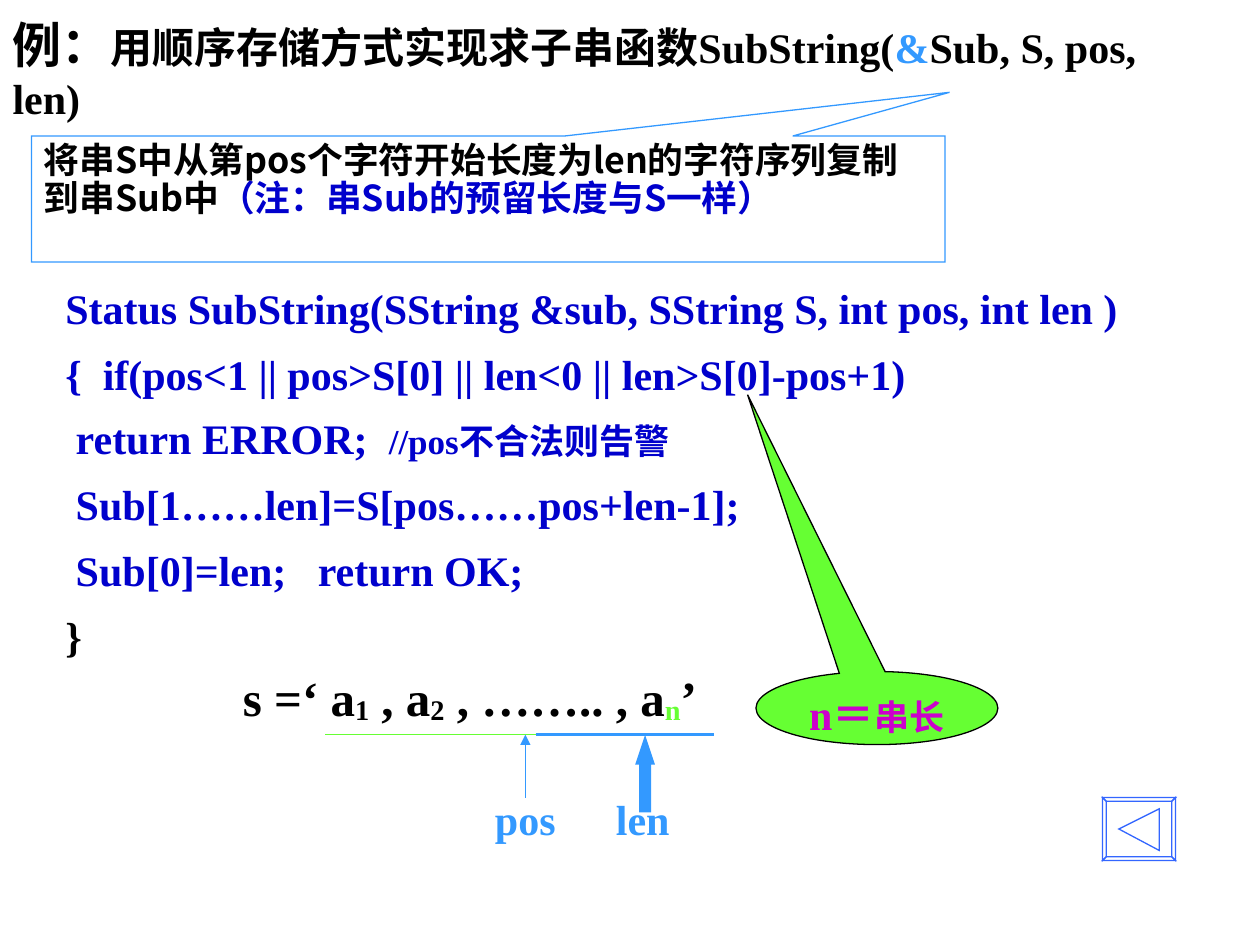
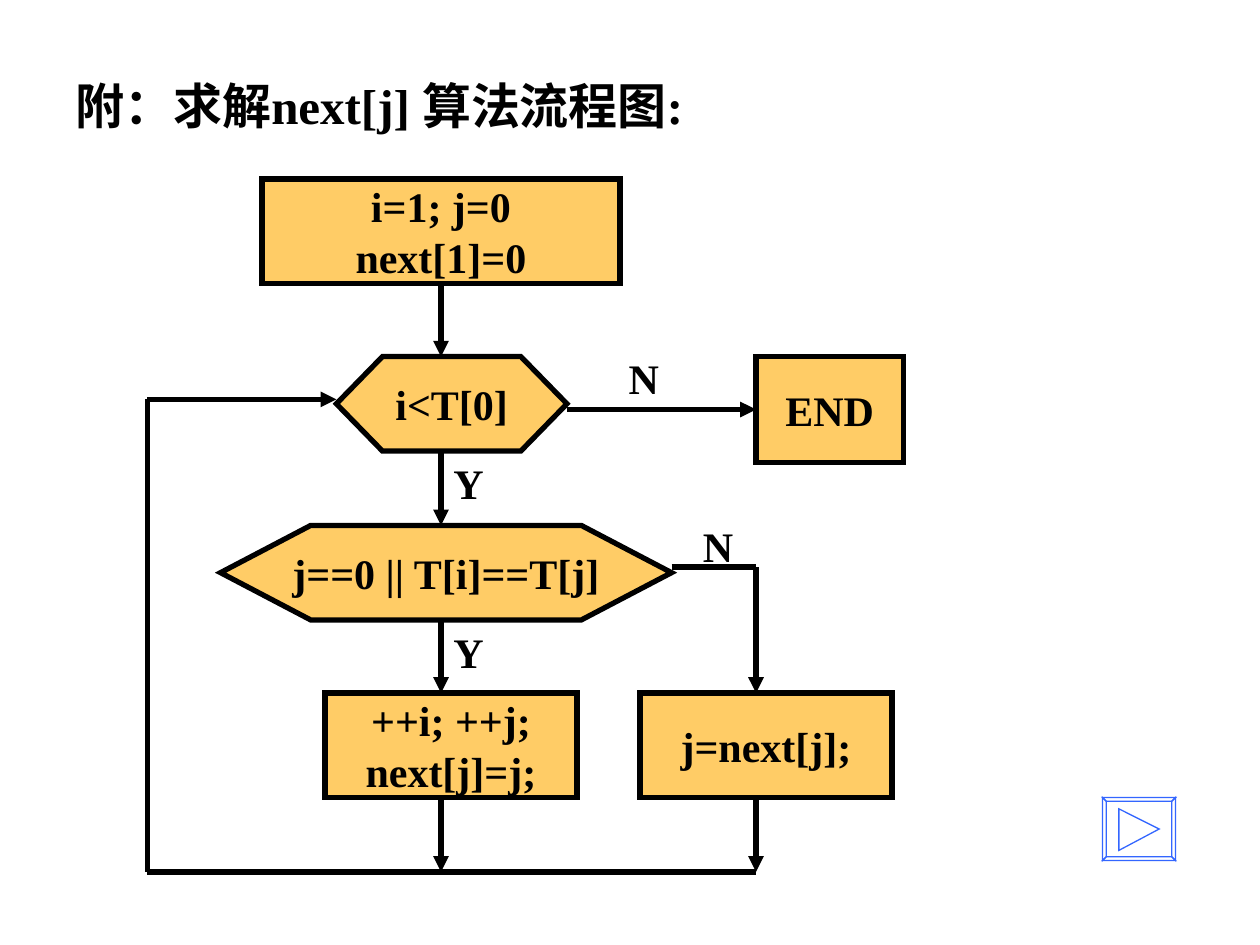
from typing import NamedTuple, Optional

from lxml.etree import SubElement
from pptx import Presentation
from pptx.dml.color import RGBColor
from pptx.enum.shapes import MSO_CONNECTOR, MSO_SHAPE
from pptx.enum.text import MSO_ANCHOR, MSO_AUTO_SIZE, PP_ALIGN
from pptx.oxml.ns import qn
from pptx.util import Inches, Pt

HUES = {
    "black": "000000", "navy": "0000CC", "sky": "3399FF", "lime": "66FF33",
    "plum": "CC00CC", "sand": "FFCC66", "blue": "3366FF",
}
SERIF, SANS = "Times New Roman", "Noto Sans CJK SC"


class Run(NamedTuple):
    text: str
    hue: Optional[str] = None
    size: Optional[float] = None
    base: int = 0  # baseline shift, percent


class Para(NamedTuple):
    runs: tuple[Run, ...]
    hue: str = "black"
    size: float = 24
    before: float = 0
    align: PP_ALIGN = PP_ALIGN.LEFT
    face: str = SERIF
    lead: float = 1.0


class Box(NamedTuple):
    left: float
    top: float
    width: float
    height: float

    def size(self) -> list:
        return [Inches(side) for side in self]


class Node(NamedTuple):
    name: str
    kind: MSO_SHAPE
    box: Box
    lines: tuple[str, ...]


class Link(NamedTuple):
    start: tuple[float, float]
    end: tuple[float, float]
    arrow: bool = True
    hue: str = "black"
    weight: float = 3
    source: Optional[tuple[str, int]] = None
    target: Optional[tuple[str, int]] = None


class Label(NamedTuple):
    text: str
    box: Box
    hue: str = "black"


def shade(hue: str) -> RGBColor:
    return RGBColor.from_string(HUES[hue])


# Shared drawing functions
def write(frame, paras: list[Para], anchor=MSO_ANCHOR.TOP, wrap: bool = True,
          grow: bool = False) -> None:
    frame.word_wrap = wrap
    frame.auto_size = MSO_AUTO_SIZE.SHAPE_TO_FIT_TEXT if grow else MSO_AUTO_SIZE.NONE
    frame.vertical_anchor = anchor
    for index, para in enumerate(paras):
        line = frame.add_paragraph() if index else frame.paragraphs[0]
        line.alignment, line.line_spacing = para.align, para.lead
        line.space_before = Pt(para.before)
        font = line.font
        font.name, font.size, font.bold = para.face, Pt(para.size), True
        font.color.rgb = shade(para.hue)
        SubElement(font._element, qn("a:ea"), typeface=SANS)
        for part in para.runs:
            run = line.add_run()
            run.text = part.text
            if part.size:
                run.font.size = Pt(part.size)
            if part.hue:
                run.font.color.rgb = shade(part.hue)
            if part.base:
                run.font._element.set("baseline", str(part.base * 1000))


def add_title(slide, box: Box, para: Para) -> None:
    title = slide.shapes.title
    title.left, title.top, title.width, title.height = box.size()
    write(title.text_frame, [para], MSO_ANCHOR.MIDDLE)


def add_text(slide, box: Box, paras: list[Para], **style) -> None:
    write(slide.shapes.add_textbox(*box.size()).text_frame, paras, **style)


def add_label(slide, label: Label) -> None:
    add_text(slide, label.box, [Para((Run(label.text),), label.hue)], grow=True)


def paint(shape, fill: Optional[str], line: str, weight: float) -> None:
    shape.shadow.inherit = False
    if fill:
        shape.fill.solid()
        shape.fill.fore_color.rgb = shade(fill)
    else:
        shape.fill.background()
    shape.line.color.rgb = shade(line)
    shape.line.width = Pt(weight)
    SubElement(shape.line._get_or_add_ln(), qn("a:miter"), lim="800000")


def add_shape(slide, kind, box: Box, fill: Optional[str], line: str,
              weight: float, adjust: tuple[float, ...] = ()):
    shape = slide.shapes.add_shape(kind, *box.size())
    paint(shape, fill, line, weight)
    for index, value in enumerate(adjust):
        shape.adjustments[index] = value
    return shape


def add_link(slide, link: Link, nodes: dict) -> None:
    ends = [Inches(value) for value in link.start + link.end]
    line = slide.shapes.add_connector(MSO_CONNECTOR.STRAIGHT, *ends)
    line.line.color.rgb = shade(link.hue)
    line.line.width = Pt(link.weight)
    if link.arrow:
        SubElement(line.line._get_or_add_ln(), qn("a:tailEnd"), type="triangle")
    SubElement(line._element.spPr, qn("a:effectLst"))
    if link.source:
        line.begin_connect(nodes[link.source[0]], link.source[1])
    if link.target:
        line.end_connect(nodes[link.target[0]], link.target[1])


def add_button(slide, back: bool) -> None:
    """Bevelled button with a triangle that points back or forward."""
    left, top, right, low, rim = 8.75, 6.33, 9.33, 6.83, 0.03
    outer = [(left, top), (right, top), (right, low), (left, low)]
    inner = [(left + rim, top + rim), (right - rim, top + rim),
             (right - rim, low - rim), (left + rim, low - rim)]
    tip, foot = (8.88, 9.2) if back else (9.2, 8.88)
    rings = [outer]
    for i in range(4):
        j = (i + 1) % 4
        rings.append([outer[i], outer[j], inner[j], inner[i]])
    rings.append([(foot, 6.42), (tip, 6.58), (foot, 6.75)])
    paths = [[(Inches(x), Inches(y)) for x, y in ring] for ring in rings]
    pen = slide.shapes.build_freeform(*paths[0][0], scale=1.0)
    for i, ring in enumerate(paths):
        if i:
            pen.move_to(*ring[0])
        pen.add_line_segments(ring[1:], close=True)
    paint(pen.convert_to_shape(), None, "blue", 0.75)


# Slide 1: substring function
CODE = [
    Para((Run("Status SubString(SString &sub, SString S, int pos, int len )"),), "navy"),
    Para((Run("{  if(pos<1 || pos>S[0] || len<0 || len>S[0]-pos+1)"),), "navy", before=9),
    Para((Run(" return ERROR;  "), Run("//pos不合法则告警", size=20)), "navy", before=7.5),
    Para((Run(" Sub[1……len]=S[pos……pos+len-1];"),), "navy", before=9),
    Para((Run(" Sub[0]=len;   return OK;"),), "navy", before=9),
    Para((Run("}"),), before=9),
]
STRING = Para((
    Run("s =‘ a"), Run("1", base=-8), Run(" , a"), Run("2", base=-8),
    Run(" , …….. , a"), Run("n", "lime", base=-8), Run("’"),
), size=28)


def draw_code(slide) -> None:
    add_title(slide, Box(0, 0.17, 9.67, 0.75), Para((
        Run("例：", size=28), Run("用顺序存储方式实现求子串函数SubString("),
        Run("&", "sky"), Run("Sub, S, pos, len)"))))
    add_text(slide, Box(0.42, 2.08, 8.83, 3.33), CODE, anchor=MSO_ANCHOR.MIDDLE)

    # Callouts and sample string
    note = add_shape(slide, MSO_SHAPE.RECTANGULAR_CALLOUT, Box(0.25, 1.08, 7.25, 1),
                     None, "sky", 0.75, (0.505, -0.847))
    write(note.text_frame, [Para((
        Run("将串S中从第pos个字符开始长度为len的字符序列复制到串Sub中"),
        Run("（注：串Sub的预留长度与S一样）", "navy")), size=20.4, face=SANS, lead=0.9)])
    add_text(slide, Box(1.83, 5.25, 4.17, 0.57), [STRING], grow=True)
    total = add_shape(slide, MSO_SHAPE.OVAL_CALLOUT, Box(6, 5.33, 1.92, 0.58),
                      "lime", "black", 0.75, (-0.535, -4.289))
    write(total.text_frame, [Para((Run("n＝"), Run("串长", size=20)), "plum",
                                  align=PP_ALIGN.CENTER)])

    # Position and length marks
    add_link(slide, Link((2.58, 5.83), (5.67, 5.83), False, "lime", 0.75), {})
    add_link(slide, Link((4.17, 6.33), (4.17, 5.83), True, "sky", 0.75), {})
    add_label(slide, Label("pos", Box(3.83, 6.25, 0.92, 0.5), "sky"))
    add_label(slide, Label("len", Box(4.79, 6.25, 0.7, 0.5), "sky"))
    add_shape(slide, MSO_SHAPE.UP_ARROW, Box(5.08, 5.92, 0.08, 0.5),
              "sky", "sky", 4, (0.5, 1.505))
    add_link(slide, Link((4.25, 5.83), (5.67, 5.83), False, "sky", 2), {})
    add_button(slide, back=True)


# Slide 2: flow chart
STEP, TEST = MSO_SHAPE.FLOWCHART_PROCESS, MSO_SHAPE.FLOWCHART_PREPARATION
NODES = [
    Node("init", STEP, Box(2.08, 1.42, 2.84, 0.83), ("i=1; j=0", "next[1]=0")),
    Node("loop", TEST, Box(2.67, 2.83, 1.83, 0.75), ("i<T[0]",)),
    Node("match", TEST, Box(1.75, 4.17, 3.58, 0.75), ("j==0 || T[i]==T[j]",)),
    Node("grow", STEP, Box(2.58, 5.5, 2, 0.83), ("++i; ++j;", "next[j]=j;")),
    Node("fall", STEP, Box(5.08, 5.5, 2, 0.83), ("j=next[j];",)),
    Node("end", STEP, Box(6, 2.83, 1.17, 0.84), ("END",)),
]
MAIN, SIDE, BACK, BASE = 3.5, 6, 1.17, 6.92  # lanes of the links
LINKS = [
    Link((MAIN, 2.25), (MAIN, 2.83), source=("init", 2)),
    Link((MAIN, 3.58), (MAIN, 4.17)),
    Link((MAIN, 4.92), (MAIN, 5.5)),
    Link((5.33, 4.5), (SIDE, 4.5), False),
    Link((SIDE, 4.5), (SIDE, 5.5)),
    Link((MAIN, 6.33), (MAIN, BASE)),
    Link((SIDE, 6.33), (SIDE, BASE)),
    Link((BACK, BASE), (SIDE, BASE), False),
    Link((BACK, 3.17), (BACK, BASE), False),
    Link((BACK, 3.17), (2.67, 3.17)),
    Link((4.5, 3.25), (SIDE, 3.25), target=("end", 1)),
]
SIGNS = [("Y", MAIN, 3.58), ("Y", MAIN, 4.92), ("N", 4.89, 2.75), ("N", 5.48, 4.08)]


def draw_flow(slide) -> None:
    add_title(slide, Box(0.5, 0.42, 6.33, 0.83),
              Para((Run("附：求解next[j] 算法流程图:"),), size=28))
    nodes = {}
    for node in NODES:
        shape = add_shape(slide, node.kind, node.box, "sand", "black", 3)
        paras = [Para((Run(text),), align=PP_ALIGN.CENTER) for text in node.lines]
        write(shape.text_frame, paras, MSO_ANCHOR.MIDDLE, wrap=False)
        nodes[node.name] = shape
    for link in LINKS:
        add_link(slide, link, nodes)
    for text, left, top in SIGNS:
        add_label(slide, Label(text, Box(left, top, 0.5, 0.5)))
    add_button(slide, back=False)


def main() -> None:
    deck = Presentation()
    deck.slide_width, deck.slide_height = Inches(10), Inches(7.5)
    for draw in (draw_code, draw_flow):
        draw(deck.slides.add_slide(deck.slide_layouts[5]))
    deck.save("out.pptx")


if __name__ == "__main__":
    main()
